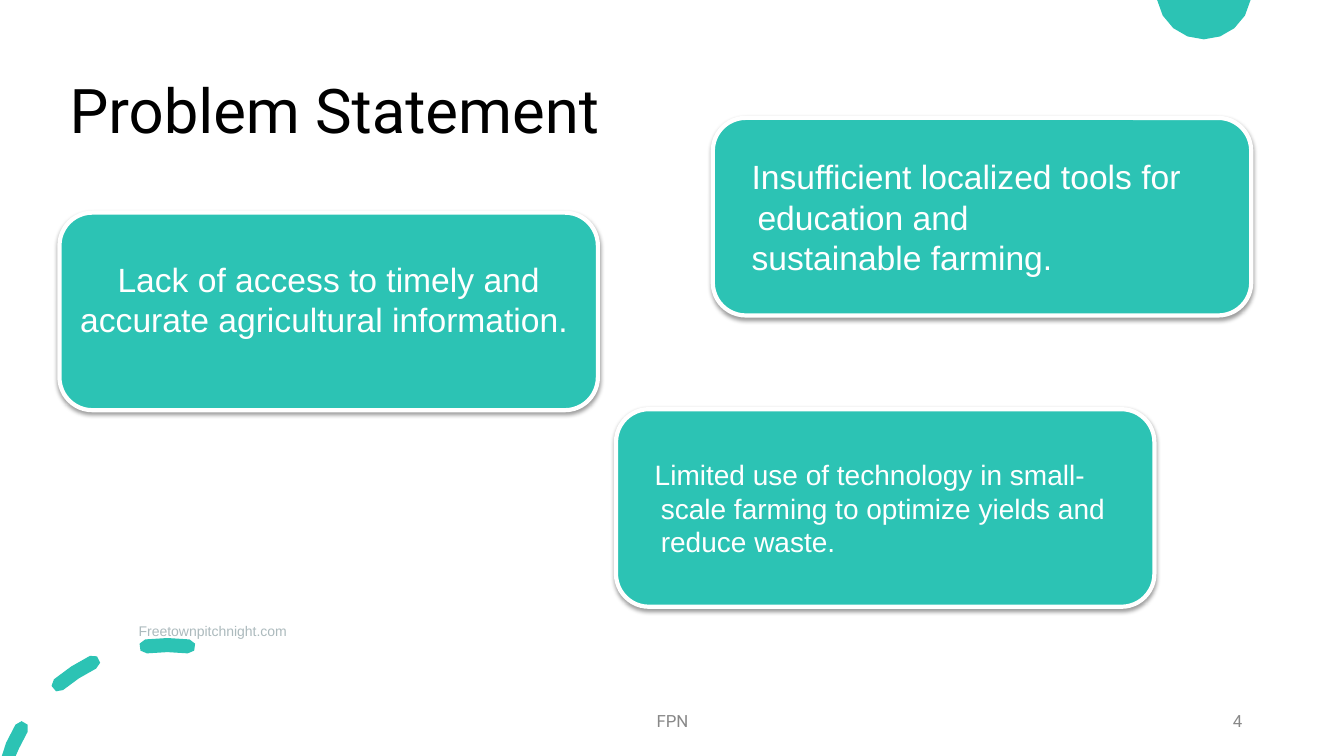
"""Builds the Problem Statement slide with three shadowed cards."""
import math
from dataclasses import dataclass

from lxml import etree
from pptx import Presentation
from pptx.dml.color import RGBColor
from pptx.enum import shapes, text
from pptx.oxml import ns
from pptx.util import Inches, Pt


@dataclass(frozen=True)
class Theme:
    teal: RGBColor = RGBColor(0x2C, 0xC3, 0xB4)
    white: RGBColor = RGBColor(0xFF, 0xFF, 0xFF)
    black: RGBColor = RGBColor(0, 0, 0)
    grey: RGBColor = RGBColor(0x88, 0x88, 0x88)
    pale: RGBColor = RGBColor(0xAC, 0xBA, 0xBD)
    heading: str = "Roboto"
    body: str = "Arial"
    title_size: int = 44
    card_size: int = 24
    small_card_size: int = 20
    footer_size: int = 12
    site_size: int = 10


THEME = Theme()
LEFT, CENTER, RIGHT = text.PP_ALIGN.LEFT, text.PP_ALIGN.CENTER, text.PP_ALIGN.RIGHT
CARD_WIDTH, CARD_HEIGHT = 5.34, 1.96
BOTTOM_CUT = 7.57


def place(shape, left, top, width, height):
    shape.left, shape.top = Inches(left), Inches(top)
    shape.width, shape.height = Inches(width), Inches(height)


def write(shape, content, font, size, color, align=LEFT):
    frame = shape.text_frame
    frame.text = content
    frame.word_wrap = True
    frame.vertical_anchor = text.MSO_ANCHOR.MIDDLE
    for paragraph in frame.paragraphs:
        paragraph.alignment = align
        for run in paragraph.runs:
            run.font.name = font
            run.font.size = Pt(size)
            run.font.color.rgb = color
    return frame


def add_title(slide, content):
    title = slide.shapes.title
    place(title, 0.59, 0.4, 11.5, 1.45)
    frame = write(title, content, THEME.heading, THEME.title_size, THEME.black)
    frame.paragraphs[0].line_spacing = 0.9


def add_label(slide, box, content, font, size, color, align):
    label = slide.shapes.add_textbox(*map(Inches, box))
    write(label, content, font, size, color, align)


def add_shadow(shape):
    shape.shadow.inherit = False
    effects = shape._element.spPr.find(ns.qn("a:effectLst"))
    shadow = etree.SubElement(
        effects, ns.qn("a:outerShdw"), blurRad=str(Pt(3.1)), dist=str(Pt(1.6)),
        dir="5400000", rotWithShape="0")
    color = etree.SubElement(shadow, ns.qn("a:srgbClr"), val=str(THEME.black))
    etree.SubElement(color, ns.qn("a:alpha"), val="38000")


def add_card(slide, left, top, content, size, align=LEFT):
    card = slide.shapes.add_shape(
        shapes.MSO_SHAPE.ROUNDED_RECTANGLE, Inches(left), Inches(top),
        Inches(CARD_WIDTH), Inches(CARD_HEIGHT))
    card.fill.solid()
    card.fill.fore_color.rgb = THEME.teal
    card.line.color.rgb = THEME.white
    card.line.width = Pt(3)
    add_shadow(card)
    frame = write(card, content, THEME.body, size, THEME.white, align)
    if align == LEFT:
        for paragraph in frame.paragraphs:
            properties = paragraph._p.get_or_add_pPr()
            properties.set("marL", str(Inches(0.25)))
            properties.set("indent", str(Inches(-0.06)))
    return frame


def polar(center, radius, angle):
    """Point on a circle, in degrees anticlockwise from the top."""
    turn = math.radians(angle)
    return center[0] - radius * math.sin(turn), center[1] - radius * math.cos(turn)


def arc(center, radius, start, end, steps):
    """Evenly spaced points along an arc."""
    return [polar(center, radius, start + (end - start) * i / steps)
            for i in range(steps + 1)]


def dash(center, radius, half_width, start, end):
    """Outline of a curved dash with round ends."""
    middle = (start + end) / 2
    return (arc(polar(center, radius, end), half_width, end, end + 180, 3)
            + [polar(center, radius - half_width, middle)]
            + arc(polar(center, radius, start), half_width, start + 180, start + 360, 3)
            + [polar(center, radius + half_width, middle)])


def add_outlines(slide, outlines):
    """Draw teal outlines as one freeform cut at the slide edges."""
    builder = None
    for outline in outlines:
        points = [(Inches(max(x, 0)), Inches(min(max(y, 0), BOTTOM_CUT)))
                  for x, y in outline]
        if builder is None:
            builder = slide.shapes.build_freeform(*points[0])
        else:
            builder.move_to(*points[0])
        builder.add_line_segments(points[1:], close=True)
    shape = builder.convert_to_shape()
    shape.fill.solid()
    shape.fill.fore_color.rgb = THEME.teal
    shape.line.fill.background()
    shape.shadow.inherit = False


def main():
    presentation = Presentation()
    presentation.slide_width, presentation.slide_height = Inches(13.33), Inches(7.5)
    slide = presentation.slides.add_slide(presentation.slide_layouts[5])

    add_label(slide, (0.58, 6.12, 3.06, 0.28), "Freetownpitchnight.com",
              THEME.body, THEME.site_size, THEME.pale, CENTER)
    add_outlines(slide, [arc((11.94, -0.08), 0.47, 99.8, 260.2, 8)])
    dash_angles = [(-7.2, 7.2), (26, 40), (59.4, 72.5)]
    add_outlines(slide, [dash((1.66, 8.08), 1.68, 0.07, *span) for span in dash_angles])

    add_title(slide, "Problem Statement")
    for box, content, align in [((4.42, 6.95, 4.5, 0.4), "FPN", CENTER),
                                ((9.42, 6.95, 3, 0.4), "4", RIGHT)]:
        add_label(slide, box, content, THEME.heading, THEME.footer_size, THEME.grey, align)

    access = add_card(slide, 0.59, 2.11,
                      "Lack of access to timely and accurate agricultural information. ",
                      THEME.card_size, CENTER)
    access.margin_bottom = Inches(0.29)
    add_card(slide, 7.07, 1.17,
             "Insufficient localized tools for education and\nsustainable farming.",
             THEME.card_size)
    add_card(slide, 6.11, 4.06,
             "Limited use of technology in small-scale farming to optimize yields "
             "and reduce waste.", THEME.small_card_size)
    presentation.save("out.pptx")


if __name__ == "__main__":
    main()
